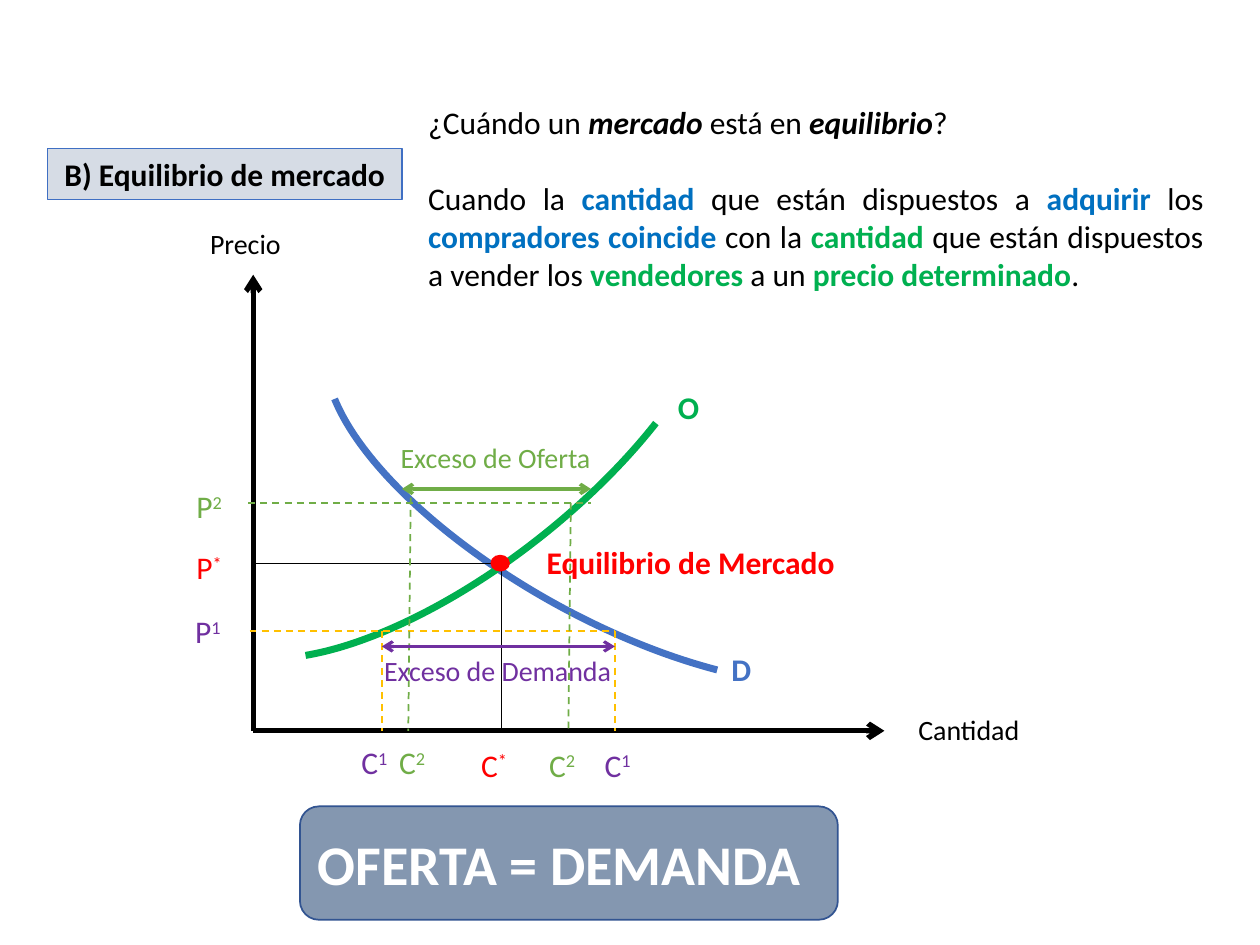
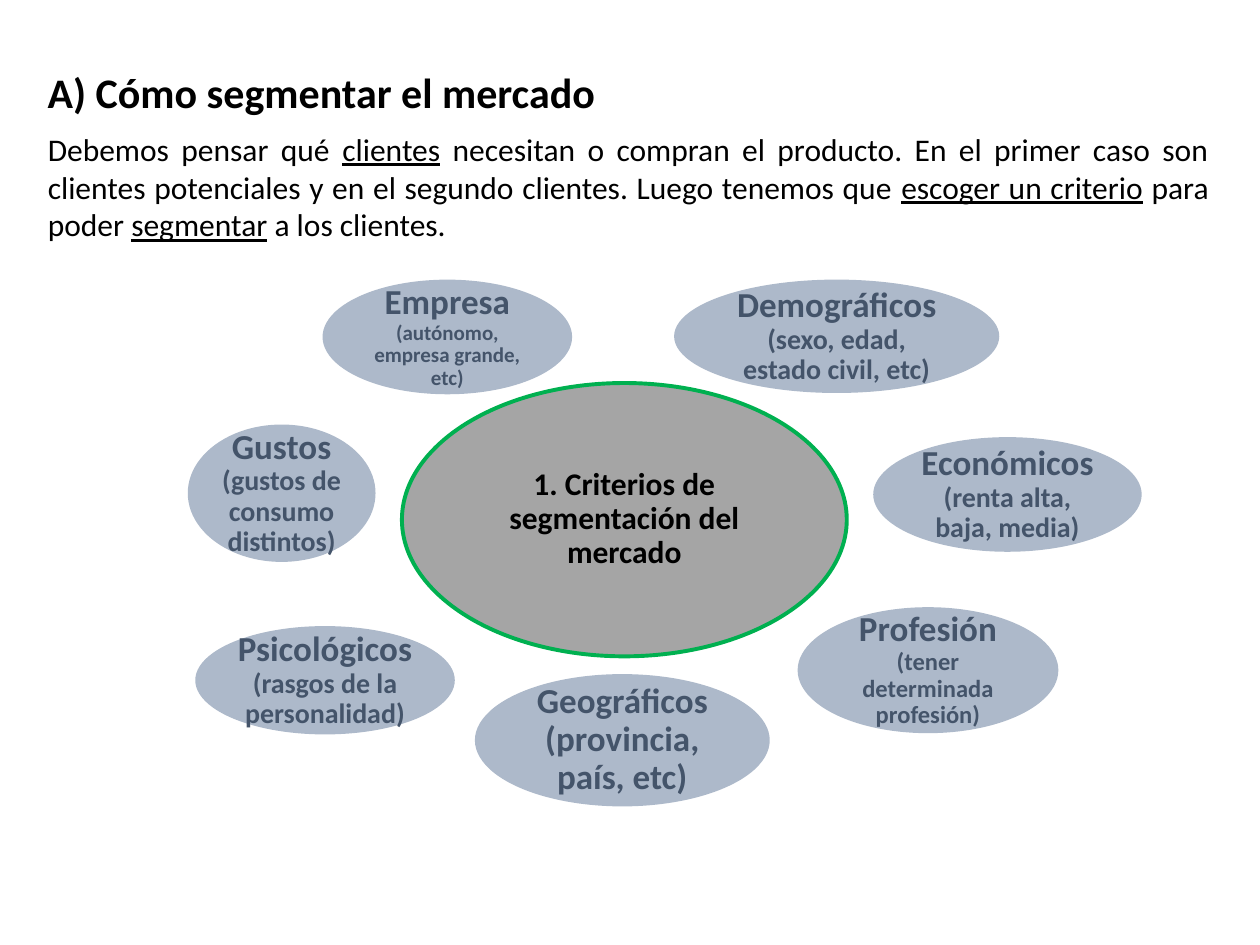
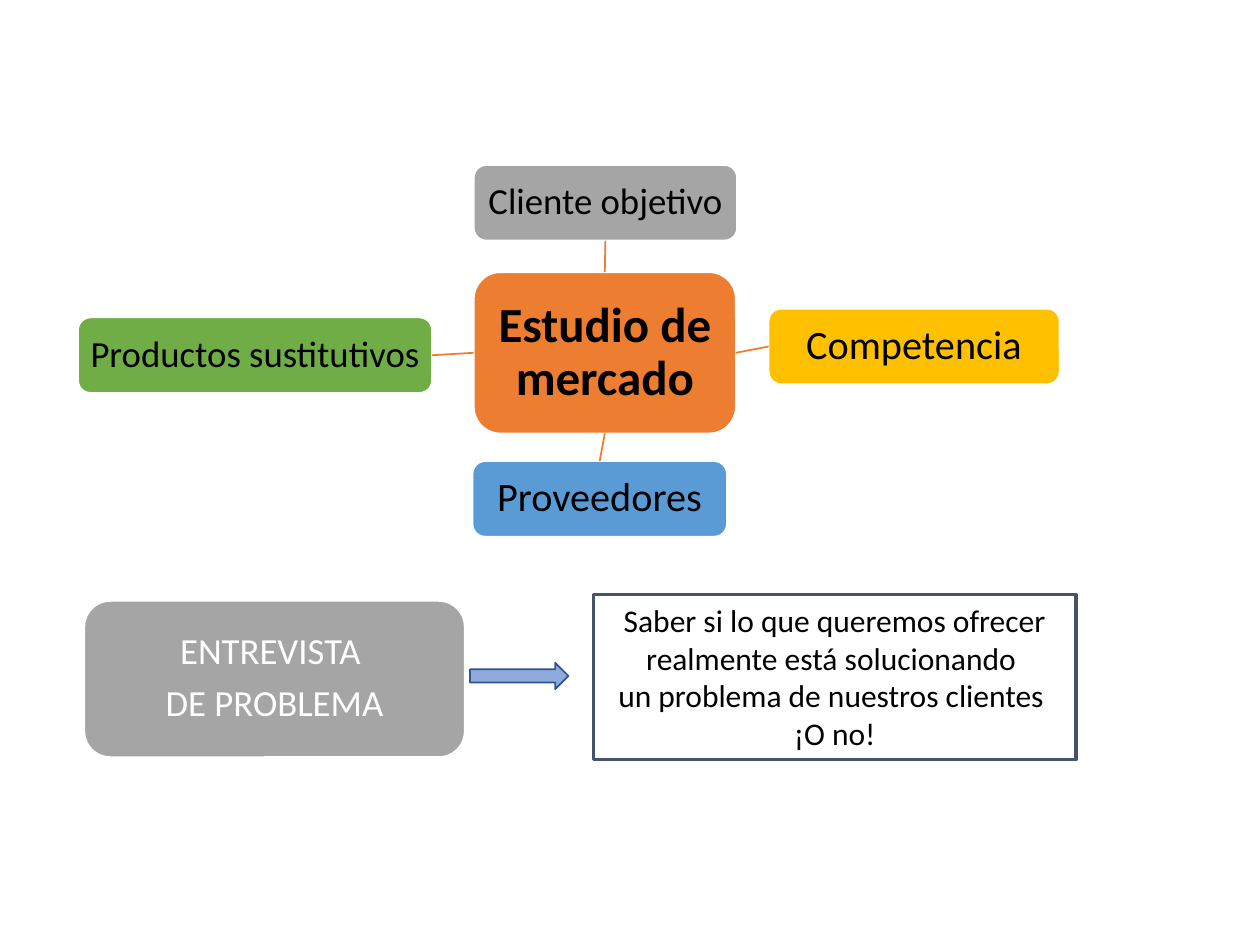
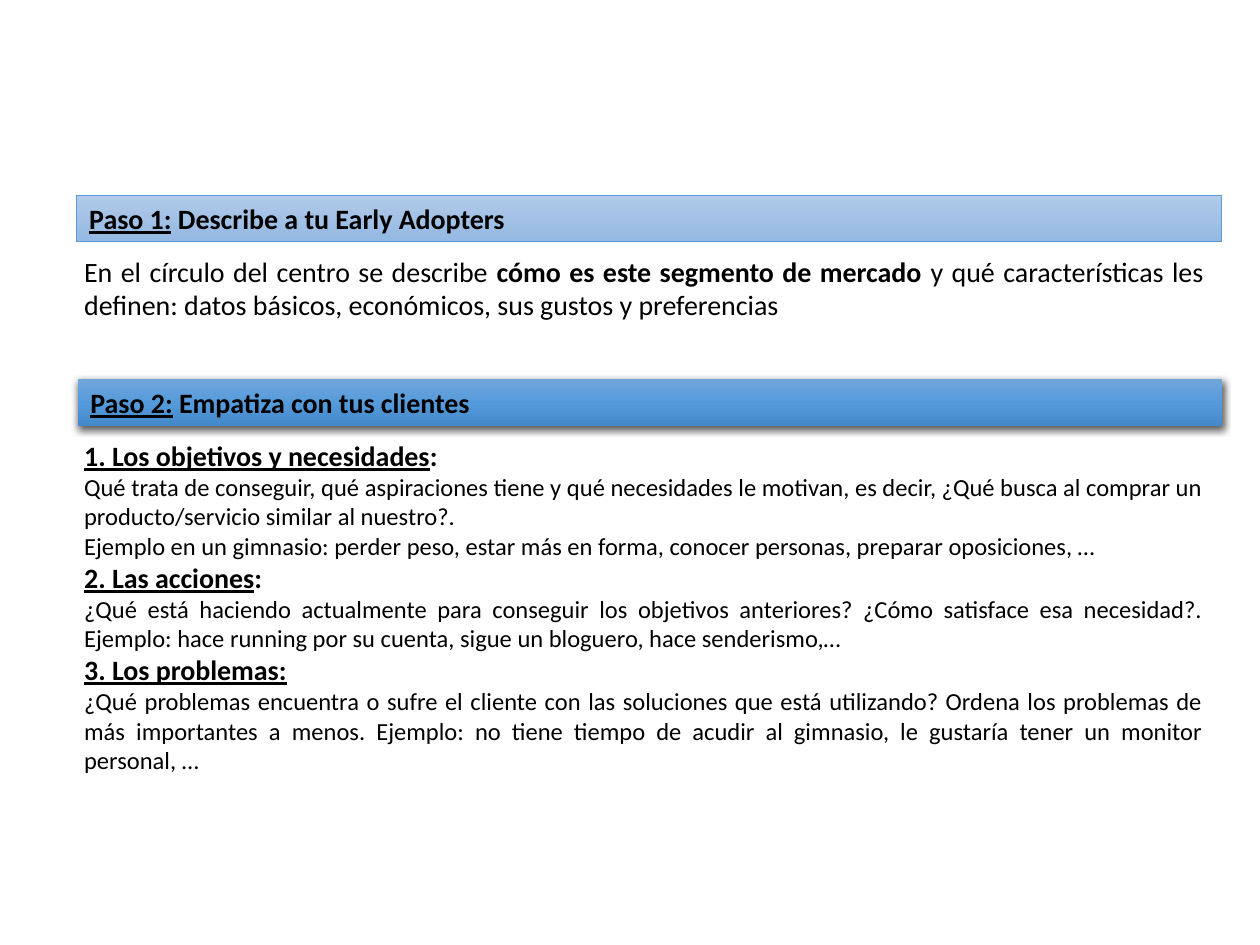
from copy import deepcopy

from lxml import etree
from pptx import Presentation
from pptx.dml.color import RGBColor
from pptx.enum import dml, shapes, text
from pptx.oxml.ns import qn
from pptx.util import Pt

FONT = "Calibri"
INK = {
    "black": "000000", "white": "FFFFFF", "red": "FF0000", "blue": "4472C4",
    "sky": "0070C0", "green": "00B050", "leaf": "70AD47", "violet": "7030A0",
    "gold": "FFC000", "orange": "ED7D31", "gray": "A5A5A5", "aqua": "5B9BD5",
    "navy": "325491", "edge": "3F6FC3", "pale": "D6DCE5", "steel": "8497B0",
    "mist": "ADB9CA", "slate": "44546A", "arrow": "8FAADC",
    "soft1": "B1CBE9", "soft2": "A3C1E5", "soft3": "93B9E4",
    "deep1": "71A6DB", "deep2": "559BDB", "deep3": "448ACA",
}
KIND = shapes.MSO_SHAPE
LEFT, MID, RIGHT, FULL = (text.PP_ALIGN.LEFT, text.PP_ALIGN.CENTER,
                          text.PP_ALIGN.RIGHT, text.PP_ALIGN.JUSTIFY)


def ink(name):
    """Return the named colour."""
    return RGBColor.from_string(INK[name])


def style(run, flags):
    """Apply flags: a size, a colour name, b, i, u or sup."""
    for flag in flags.split():
        if flag.isdigit():
            run.font.size = Pt(int(flag))
        elif flag in INK:
            run.font.color.rgb = ink(flag)
        elif flag == "sup":
            run._r.get_or_add_rPr().set("baseline", "30000")
        else:
            name = {"b": "bold", "i": "italic", "u": "underline"}[flag]
            setattr(run.font, name, True)


def write(shape, paras, size, color="black", bold=False, align=LEFT,
          inset=None, middle=False, tight=False, gap=0, wrap=True):
    """Fill a shape with paragraphs of plain or flagged runs."""
    frame = shape.text_frame
    frame.word_wrap = wrap
    anchor = text.MSO_ANCHOR
    frame.vertical_anchor = anchor.MIDDLE if middle else anchor.TOP
    if inset is not None:
        frame.margin_left = frame.margin_right = Pt(inset)
        frame.margin_top = frame.margin_bottom = Pt(inset)
    for i, runs in enumerate(paras):
        para = frame.add_paragraph() if i else frame.paragraphs[0]
        para.alignment = align
        if tight:
            para.line_spacing = 0.9
            para.space_after = Pt(round(size * 0.35))
        if i and gap:
            para.space_before = Pt(gap)
        font = para.font
        font.name, font.size, font.bold = FONT, Pt(size), bold
        font.color.rgb = ink(color)
        for part in [runs] if isinstance(runs, str) else runs:
            words, flags = (part, "") if isinstance(part, str) else part
            run = para.add_run()
            run.text = words
            style(run, flags)


def label(slide, at, paras, size, color="black", **more):
    """Add a text box."""
    box = slide.shapes.add_textbox(*map(Pt, at))
    write(box, paras, size, color, **more)


def block(slide, kind, at, fill=None, line=None, width=1):
    """Add a preset shape."""
    shape = slide.shapes.add_shape(kind, *map(Pt, at))
    shape.shadow.inherit = False
    if fill:
        shape.fill.solid()
        shape.fill.fore_color.rgb = ink(fill)
    else:
        shape.fill.background()
    if line:
        shape.line.color.rgb = ink(line)
        shape.line.width = Pt(width)
    else:
        shape.line.fill.background()
    return shape


def link(slide, ends, color, width, dash=False, head=False, tail=False):
    """Add a straight line, with optional dashes and arrowheads."""
    wire = slide.shapes.add_connector(shapes.MSO_CONNECTOR.STRAIGHT,
                                      *map(Pt, ends))
    wire.line.color.rgb = ink(color)
    wire.line.width = Pt(width)
    if dash:
        wire.line.dash_style = dml.MSO_LINE.DASH
    pen = wire.line._get_or_add_ln()
    for tag, wanted in (("a:headEnd", head), ("a:tailEnd", tail)):
        if wanted:
            etree.SubElement(pen, qn(tag), type="arrow")
    etree.SubElement(wire._element.spPr, qn("a:effectLst"))
    return wire


def curve(slide, at, turn, sweep, color):
    """Add a turned arc."""
    arc = block(slide, KIND.ARC, at, line=color, width=4)
    arc.rotation = turn
    arc.adjustments[0], arc.adjustments[1] = sweep


def blend(shape, names):
    """Give a shape a three-stop gradient from top to bottom."""
    fill = shape.fill
    fill.gradient()
    fill.gradient_angle = 270
    first = shape._element.spPr.find(".//" + qn("a:gs"))
    first.addnext(deepcopy(first))
    for i, (stop, name) in enumerate(zip(fill.gradient_stops, names)):
        stop.position = i / 2
        stop.color.rgb = ink(name)


def shade(shape):
    """Cast a soft shadow below a shape."""
    glow = etree.SubElement(
        shape._element.spPr.find(qn("a:effectLst")), qn("a:outerShdw"),
        blurRad=str(Pt(4.5)), dist=str(Pt(1.5)), dir="5400000",
        algn="ctr", rotWithShape="0")
    tint = etree.SubElement(glow, qn("a:srgbClr"), val=INK["black"])
    etree.SubElement(tint, qn("a:alpha"), val="63000")


def graph(slide):
    """Draw the market balance graph."""
    tag = block(slide, KIND.RECTANGLE, (27.2, 84.8, 202.6, 29.1),
                "pale", "edge", 0.75)
    write(tag, ["B) Equilibrio de mercado"], 18, bold=True, align=MID)
    sign = block(slide, KIND.ROUNDED_RECTANGLE, (171.4, 460.8, 307.4, 64.8),
                 "steel", "navy")
    write(sign, ["OFERTA = DEMANDA"], 32, "white", bold=True, middle=True)

    left, base = 144.7, 417.6
    link(slide, (left, base, left, 157), "black", 3, tail=True)
    link(slide, (left, base, 505.4, base), "black", 3, tail=True)
    curve(slide, (167, 205.9, 369.4, 147.6), 209.1, (126.89, 209.27), "blue")
    curve(slide, (77, 170.6, 369.4, 152.6), 141.6, (129.48, 205.64), "green")
    link(slide, (286.6, 321.5, 286.6, base), "black", 0.25)
    link(slide, (286.6, 321.8, left, 321.8), "black", 0.25)
    link(slide, (142.6, 360.7, 351.4, 360.7), "gold", 1, dash=True)
    link(slide, (141.8, 287.3, 337.7, 287.3), "leaf", 1, dash=True)
    block(slide, KIND.OVAL, (280.8, 317.5, 10.1, 8.6), "red", "red")
    for x in (218.2, 351.4):
        link(slide, (x, 360.7, x, base), "gold", 1, dash=True)
    for x, y in ((234.7, 284.4), (326.2, 287.3)):
        link(slide, (x, y, x - 1.4, base), "leaf", 1, dash=True)
    link(slide, (218.2, 369.4, 351.4, 369.4), "violet", 1.75,
         head=True, tail=True)
    link(slide, (229.7, 279.4, 337.7, 279.4), "leaf", 2,
         head=True, tail=True)

    for x, y, name, mark, color in (
            (105.1, 309.6, "P", "*", "red"), (104.4, 346.3, "P", "1", "violet"),
            (105.1, 275, "P", "2", "leaf"), (338.4, 422.6, "C", "1", "violet"),
            (306.7, 422.6, "C", "2", "leaf"), (221, 421.2, "C", "2", "leaf"),
            (267.8, 422.6, "C", "*", "red"),
            (199.4, 421.2, "C", "1", "violet")):
        label(slide, (x, y, 37.4, 29.1), [[name, (mark, "sup")]], 18, color)
    for at, words, color, align in (
            ((305.3, 306.7, 183.6, 29.1), "Equilibrio de Mercado", "red", LEFT),
            ((380.2, 218.2, 37.4, 29.1), "O", "green", LEFT),
            ((398.9, 367.9, 37.4, 29.1), "D", "blue", RIGHT)):
        label(slide, at, [words], 18, color, bold=True, align=align)
    for x, y, wide, words, color in (
            (221.8, 248.4, 130.3, "Exceso de Oferta", "leaf"),
            (212.4, 370.1, 148.3, "Exceso de Demanda", "violet"),
            (113, 126, 62.6, "Precio", "black"),
            (517.7, 403.9, 73.4, "Cantidad", "black")):
        label(slide, (x, y, wide, 26.6), [words], 16, color)
    label(slide, (237.6, 55.4, 457.2, 116.6), [
        ["¿Cuándo un ", ("mercado", "b i"), " está en ",
         ("equilibrio", "b i"), "?"],
        ["Cuando la ", ("cantidad", "b sky"), " que están dispuestos a ",
         ("adquirir ", "b sky"), "los ", ("compradores coincide ", "b sky"),
         "con la ", ("cantidad", "b green"),
         " que están dispuestos a vender los ", ("vendedores", "b green"),
         " a un ", ("precio determinado", "b green"), "."],
    ], 18, align=FULL, gap=22)


def ring(slide):
    """Draw the ring of ways to split the market."""
    core = block(slide, KIND.OVAL, (229.7, 218.9, 254.2, 156.2),
                 "gray", "green", 2.25)
    look = dict(bold=True, align=MID, inset=2.2, middle=True, tight=True)
    write(core, ["1. Criterios de segmentación del mercado"], 18, **look)
    for at, name, note, size in (
            ((271.4, 385.2, 168.5, 75.6), "Geográficos ",
             "(provincia, país, etc)", 20),
            ((385.2, 159.8, 185.8, 64.8), "Demográficos ",
             "(sexo, edad, estado civil, etc)", 16),
            ((499, 249.8, 153.4, 65.5), "Económicos ",
             "(renta alta, baja, media)", 16),
            ((455.8, 347, 149, 72), "Profesión ",
             "(tener determinada profesión)", 14),
            ((111.6, 357.8, 148.3, 61.9), "Psicológicos ",
             "(rasgos de la personalidad)", 16),
            ((107.3, 242.6, 107.3, 78.5), "Gustos ",
             "(gustos de consumo distintos)", 16),
            ((184.3, 159.8, 142.6, 65.5), "Empresa ",
             "(autónomo, empresa grande, etc)", 12)):
        oval = block(slide, KIND.OVAL, at, "mist")
        write(oval, [[name, (note, str(size))]], 20, "slate", **look)
    label(slide, (20.2, 34.6, 335.5, 36), ["A) Cómo segmentar el mercado"],
          24, bold=True, wrap=False)
    label(slide, (20.2, 70.6, 677.5, 72.7), [[
        "Debemos pensar qué ", ("clientes", "u"),
        " necesitan o compran el producto. En el primer caso son clientes "
        "potenciales y en el segundo clientes. Luego tenemos que ",
        ("escoger un criterio", "u"), " para poder ", ("segmentar", "u"),
        " a los clientes."]], 18, align=FULL)


def study(slide):
    """Draw the market study map and the interview row."""
    look = dict(align=MID, middle=True, tight=True)
    core = block(slide, KIND.ROUNDED_RECTANGLE, (270.7, 155.5, 149.8, 92.2),
                 "orange", "white")
    write(core, ["Estudio de mercado"], 28, bold=True, inset=5.8, **look)
    for side, x, y, wide, words, size, fill in (
            (0, 270.7, 94.3, 150.5, "Cliente objetivo", 21, "gray"),
            (3, 439.2, 176.4, 166.3, "Competencia", 23, "gold"),
            (2, 270, 263.5, 145.4, "Proveedores", 23, "aqua"),
            (1, 44.6, 181.4, 202.3, "Productos sustitutivos", 21, "leaf")):
        item = block(slide, KIND.ROUNDED_RECTANGLE, (x, y, wide, 43.2),
                     fill, "white")
        write(item, [words], size, inset=4.3, **look)
        wire = link(slide, (0, 0, 0, 0), "orange", 1)
        wire.begin_connect(core, side)
        wire.end_connect(item, (side + 2) % 4)
    talk = block(slide, KIND.ROUNDED_RECTANGLE, (48.2, 343.4, 217.4, 89.3),
                 "gray", "white")
    write(talk, ["ENTREVISTA ", "DE PROBLEMA"], 21, "white", inset=4.3, **look)
    goal = block(slide, KIND.RECTANGLE, (339.1, 339.8, 275.8, 94.3),
                 line="slate", width=2)
    write(goal, ["Saber si lo que queremos ofrecer realmente está solucionando ",
                 "un problema de nuestros clientes ", "¡O no!"], 18, align=MID)
    block(slide, KIND.RIGHT_ARROW, (268.6, 378.7, 56.2, 15.1),
          "arrow", "navy")


def steps(slide):
    """Write the two steps under their bands."""
    wide = 653.8
    label(slide, (41, 141.8, wide, 46.1), [[
        "En el círculo del centro se describe ",
        ("cómo es este segmento de mercado ", "b"),
        "y qué características les definen: datos básicos, económicos, "
        "sus gustos y preferencias "]], 16, align=FULL)
    for x, y, tone, line, step, words in (
            (43.9, 111.6, "soft", "aqua", "Paso 1:",
             " Describe a tu Early Adopters"),
            (44.6, 216.7, "deep", None, "Paso 2:",
             " Empatiza con tus clientes")):
        band = block(slide, KIND.RECTANGLE, (x, y, wide, 26.6),
                     line=line, width=0.5)
        blend(band, [f"{tone}{i}" for i in (1, 2, 3)])
        if not line:
            shade(band)
        write(band, [[(step, "u"), words]], 16, bold=True)
    label(slide, (41, 247, wide, 218.2), [
        [("1. Los objetivos y necesidades", "16 b u"), (":", "16 b")],
        "Qué trata de conseguir, qué aspiraciones tiene y qué necesidades le "
        "motivan, es decir, ¿Qué busca al comprar un producto/servicio "
        "similar al nuestro?. ",
        "Ejemplo en un gimnasio: perder peso, estar más en forma, conocer "
        "personas, preparar oposiciones, …",
        [("2. Las acciones", "16 b u"), (":", "16 b")],
        "¿Qué está haciendo actualmente para conseguir los objetivos "
        "anteriores? ¿Cómo satisface esa necesidad?. Ejemplo: hace running "
        "por su cuenta, sigue un bloguero, hace senderismo,…",
        [("3. Los problemas:", "16 b u")],
        "¿Qué problemas encuentra o sufre el cliente con las soluciones que "
        "está utilizando? Ordena los problemas de más importantes a menos. "
        "Ejemplo: no tiene tiempo de acudir al gimnasio, le gustaría tener "
        "un monitor personal, …",
    ], 14, align=FULL)


def main():
    """Build the four slides and save them."""
    deck = Presentation()
    deck.slide_width, deck.slide_height = Pt(720), Pt(540)
    for draw in (graph, ring, study, steps):
        draw(deck.slides.add_slide(deck.slide_layouts[6]))
    deck.save("out.pptx")


if __name__ == "__main__":
    main()
